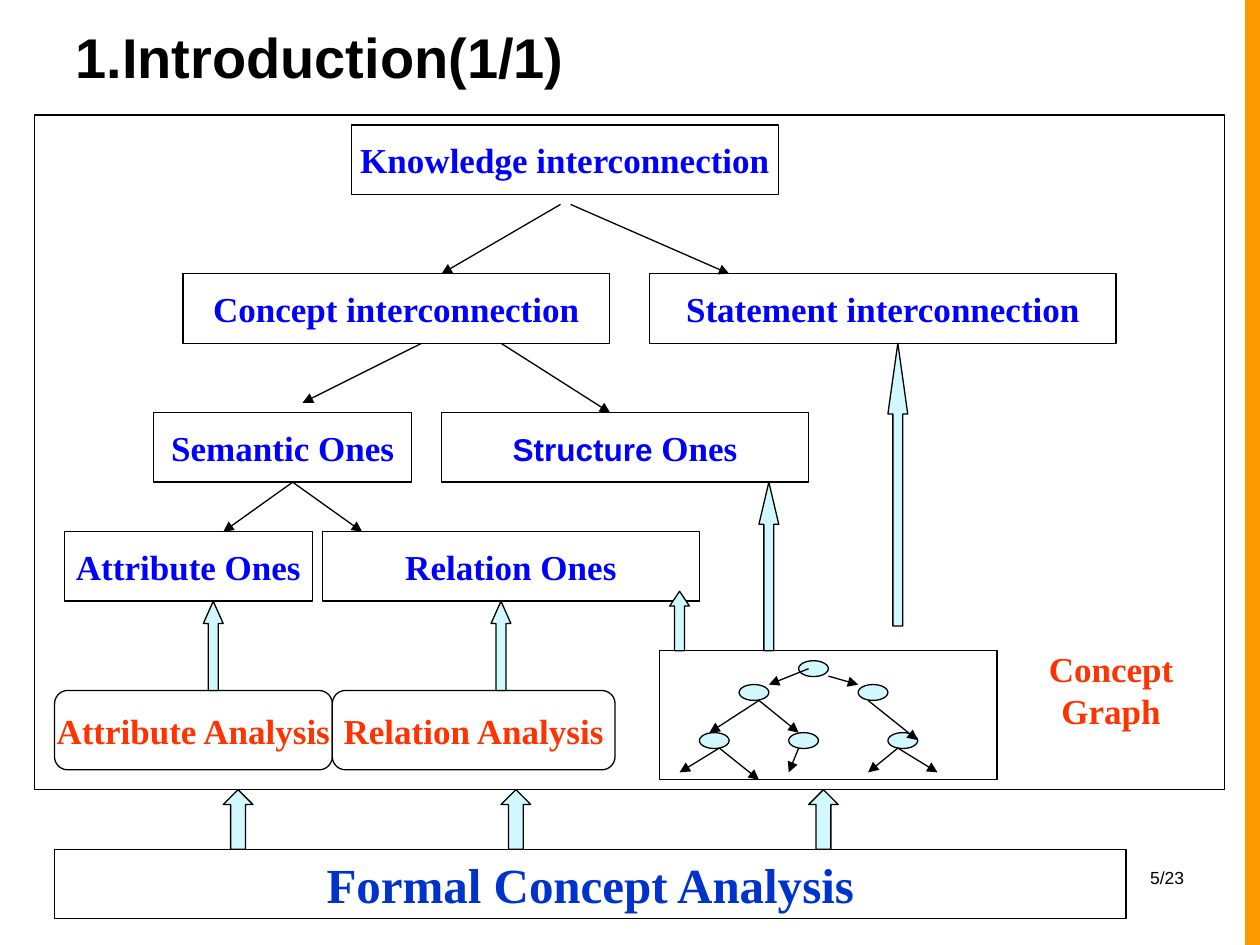
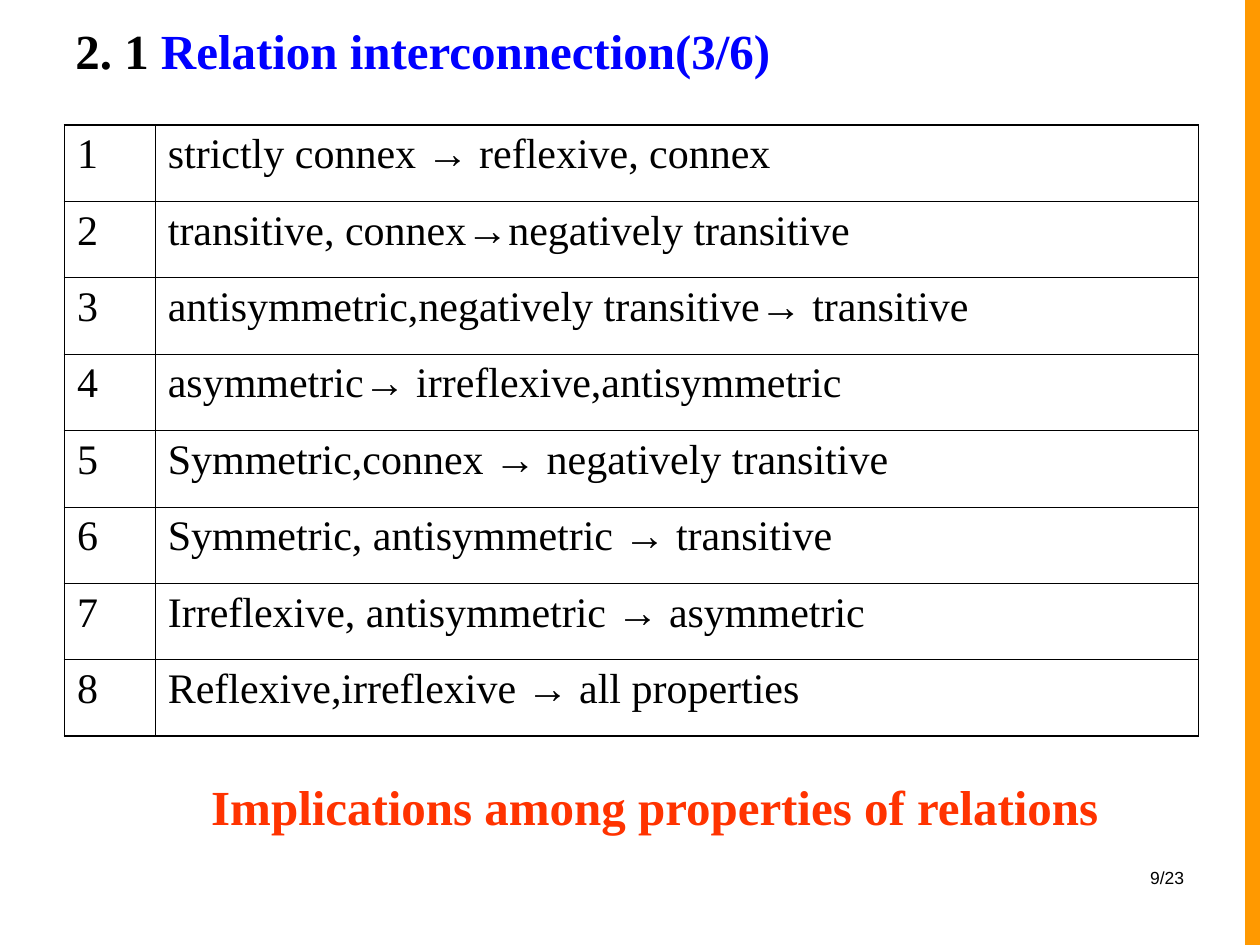
from lxml.etree import SubElement
from pptx import Presentation
from pptx.dml.color import RGBColor
from pptx.enum.shapes import MSO_CONNECTOR, MSO_SHAPE
from pptx.enum.text import MSO_ANCHOR, PP_ALIGN
from pptx.oxml.ns import qn
from pptx.util import Cm, Pt

COLORS = {
    "black": "000000",
    "white": "FFFFFF",
    "band": "FF9900",
    "blue": "0000FF",
    "foundation": "0033CC",
    "red": "FF3300",
    "ice": "D1F7FF",
}
SERIF = "Times New Roman"
SANS = "Arial"


def write(text_frame, text, size=20, color="blue", font=SERIF, bold=True,
          align=PP_ALIGN.CENTER, anchor=MSO_ANCHOR.MIDDLE, wrap=False):
    """Fill a frame; text is a string or a list of (text, run overrides)."""
    text_frame.word_wrap = wrap
    text_frame.vertical_anchor = anchor
    runs = [(text, {})] if isinstance(text, str) else text
    lines = [[]]
    for run_text, overrides in runs:
        first, *others = run_text.split("\n")
        lines[-1].append((first, overrides))
        lines.extend([(other, overrides)] for other in others)
    for index, line in enumerate(lines):
        paragraph = text_frame.add_paragraph() if index else text_frame.paragraphs[0]
        paragraph.alignment = align
        for run_text, overrides in line:
            style = {"size": size, "color": color, "font": font} | overrides
            run = paragraph.add_run()
            run.text = run_text
            run.font.size = Pt(style["size"])
            run.font.name = style["font"]
            run.font.bold = bold
            run.font.color.rgb = RGBColor.from_string(COLORS[style["color"]])


def draw(slide, kind, left, top, width, height, fill="white", outlined=True):
    shape = slide.shapes.add_shape(kind, Cm(left), Cm(top), Cm(width), Cm(height))
    shape.shadow.inherit = False
    shape.fill.solid()
    shape.fill.fore_color.rgb = RGBColor.from_string(COLORS[fill])
    if outlined:
        shape.line.color.rgb = RGBColor.from_string(COLORS["black"])
        shape.line.width = Pt(0.75)
    else:
        shape.line.fill.background()
    return shape


presentation = Presentation()
presentation.slide_width = Cm(25.4)
presentation.slide_height = Cm(19.05)

# Shared band, page number and title
slide_heads = [
    ("5/23", "1.Introduction(1/1)", 1.6, {"size": 32, "font": SANS}),
    ("9/23", [("2. 1 ", {}), ("Relation interconnection(3/6)", {"color": "blue"})],
     1.4, {"size": 28}),
]
slides = []
for page_number, title, title_height, title_format in slide_heads:
    slide = presentation.slides.add_slide(presentation.slide_layouts[6])
    slides.append(slide)
    draw(slide, MSO_SHAPE.RECTANGLE, 25.1, 0, 0.3, 19.05, fill="band", outlined=False)
    page_box = slide.shapes.add_textbox(Cm(18.2), Cm(17.35), Cm(5.92), Cm(1.27))
    write(page_box.text_frame, page_number, size=10, color="black", font=SANS, bold=False,
          align=PP_ALIGN.RIGHT, anchor=MSO_ANCHOR.TOP, wrap=True)
    title_box = slide.shapes.add_textbox(Cm(1.27), Cm(0.33), Cm(20.24), Cm(title_height))
    write(title_box.text_frame, title, color="black", align=PP_ALIGN.LEFT,
          anchor=MSO_ANCHOR.BOTTOM, wrap=True, **title_format)
diagram_slide, table_slide = slides

# Slide 1: hierarchy of interconnections
foundation = draw(diagram_slide, MSO_SHAPE.RECTANGLE, 1.1, 17.12, 21.6, 1.4)
write(foundation.text_frame, "Formal Concept Analysis", size=28, color="foundation")
draw(diagram_slide, MSO_SHAPE.RECTANGLE, 0.69, 2.32, 24, 13.6)

interconnections = [
    (7.09, 2.52, 8.6, "Knowledge interconnection"),
    (3.69, 5.52, 8.6, "Concept interconnection"),
    (13.1, 5.52, 9.4, "Statement interconnection"),
    (3.1, 8.32, 5.2, "Semantic Ones"),
    (8.9, 8.32, 7.4, [("Structure ", {"size": 18, "font": SANS}), ("Ones", {})]),
    (1.3, 10.72, 5, "Attribute Ones"),
    (6.5, 10.72, 7.6, "Relation Ones"),
]
for left, top, width, label in interconnections:
    box = draw(diagram_slide, MSO_SHAPE.RECTANGLE, left, top, width, 1.4)
    write(box.text_frame, label)

for left, width, label in [(1.1, 5.6, "Attribute Analysis"), (6.7, 5.7, "Relation Analysis")]:
    analysis = draw(diagram_slide, MSO_SHAPE.ROUNDED_RECTANGLE, left, 13.92, width, 1.6)
    write(analysis.text_frame, label, color="red")

# Concept graph: frame, caption and nodes
draw(diagram_slide, MSO_SHAPE.RECTANGLE, 13.3, 13.12, 6.8, 2.6)
graph_caption = diagram_slide.shapes.add_textbox(Cm(20.5), Cm(12.93), Cm(3.8), Cm(1.96))
write(graph_caption.text_frame, "Concept\nGraph", color="red",
      anchor=MSO_ANCHOR.TOP, wrap=True)

node_rows = [(13.32, [16.1]), (13.8, [14.9, 17.3]), (14.77, [14.1, 15.9, 17.9])]
for top, lefts in node_rows:
    for left in lefts:
        draw(diagram_slide, MSO_SHAPE.OVAL, left, top, 0.6, 0.32, fill="ice")

# Each start point with the points its arrows reach
branches = [
    ((11.3, 4.12), [(8.9, 5.52)]),
    ((11.5, 4.12), [(14.7, 5.52)]),
    ((8.5, 6.92), [(6.1, 8.12)]),
    ((10.1, 6.92), [(12.3, 8.32)]),
    ((5.9, 9.72), [(4.5, 10.72), (7.3, 10.72)]),
    ((16.3, 13.48), [(15.5, 13.8)]),
    ((16.7, 13.63), [(17.3, 13.8)]),
    ((15.3, 14.12), [(14.3, 14.77), (16.1, 14.77)]),
    ((17.5, 14.12), [(18.5, 14.92)]),
    ((14.5, 15.08), [(13.7, 15.57), (15.3, 15.72)]),
    ((16.1, 15.08), [(15.9, 15.57)]),
    ((18.1, 15.08), [(17.5, 15.57), (18.9, 15.57)]),
]
for (start_x, start_y), ends in branches:
    for end_x, end_y in ends:
        arrow = diagram_slide.shapes.add_connector(
            MSO_CONNECTOR.STRAIGHT, Cm(start_x), Cm(start_y), Cm(end_x), Cm(end_y))
        arrow.line.color.rgb = RGBColor.from_string(COLORS["black"])
        arrow.line.width = Pt(0.75)
        SubElement(arrow.line._get_or_add_ln(), qn("a:tailEnd"), type="triangle")
        SubElement(arrow._element.spPr, qn("a:effectLst"))

# Block arrows: the head takes a quarter of the length
block_arrows = [
    (4.1, 12.12, 0.4, 1.8),
    (9.9, 12.12, 0.4, 1.8),
    (13.5, 11.92, 0.4, 1.2),
    (15.3, 9.72, 0.4, 3.4),
    (17.9, 6.92, 0.4, 5.7),
    (4.5, 15.92, 0.6, 1.2),
    (10.1, 15.92, 0.6, 1.2),
    (16.3, 15.92, 0.6, 1.2),
]
for left, top, width, height in block_arrows:
    block_arrow = draw(diagram_slide, MSO_SHAPE.UP_ARROW, left, top, width, height, fill="ice")
    block_arrow.adjustments[1] = height / width / 4

# Slide 2: numbered implications
implications = [
    "strictly connex → reflexive, connex",
    "transitive, connex→negatively transitive",
    "antisymmetric,negatively transitive→ transitive",
    "asymmetric→ irreflexive,antisymmetric",
    "Symmetric,connex → negatively transitive",
    "Symmetric, antisymmetric → transitive",
    "Irreflexive, antisymmetric → asymmetric",
    "Reflexive,irreflexive → all properties",
]
row_count = len(implications)
table = table_slide.shapes.add_table(
    row_count, 2, Cm(1.3), Cm(2.52), Cm(22.86), Cm(1.54 * row_count)).table
table.first_row = False
table.horz_banding = False
table.columns[0].width = Cm(1.83)
table.columns[1].width = Cm(21.03)

for row, implication in enumerate(implications):
    for column, text in enumerate([str(row + 1), implication]):
        cell = table.cell(row, column)
        write(cell.text_frame, text, size=24, color="black", bold=False,
              align=PP_ALIGN.LEFT, anchor=MSO_ANCHOR.TOP, wrap=True)
        on_outside = {
            "a:lnL": column == 0,
            "a:lnR": column == 1,
            "a:lnT": row == 0,
            "a:lnB": row == row_count - 1,
        }
        properties = cell._tc.get_or_add_tcPr()
        for side, outside in on_outside.items():
            border = SubElement(properties, qn(side), w=str(Pt(1.08 if outside else 0.45)))
            border_fill = SubElement(border, qn("a:solidFill"))
            SubElement(border_fill, qn("a:srgbClr"), val=COLORS["black"])
        cell.fill.solid()
        cell.fill.fore_color.rgb = RGBColor.from_string(COLORS["white"])

table_caption = table_slide.shapes.add_textbox(Cm(3.5), Cm(15.52), Cm(19.4), Cm(1.45))
write(table_caption.text_frame, "Implications among properties of relations", size=28,
      color="red", anchor=MSO_ANCHOR.TOP, wrap=True)

presentation.save("out.pptx")
